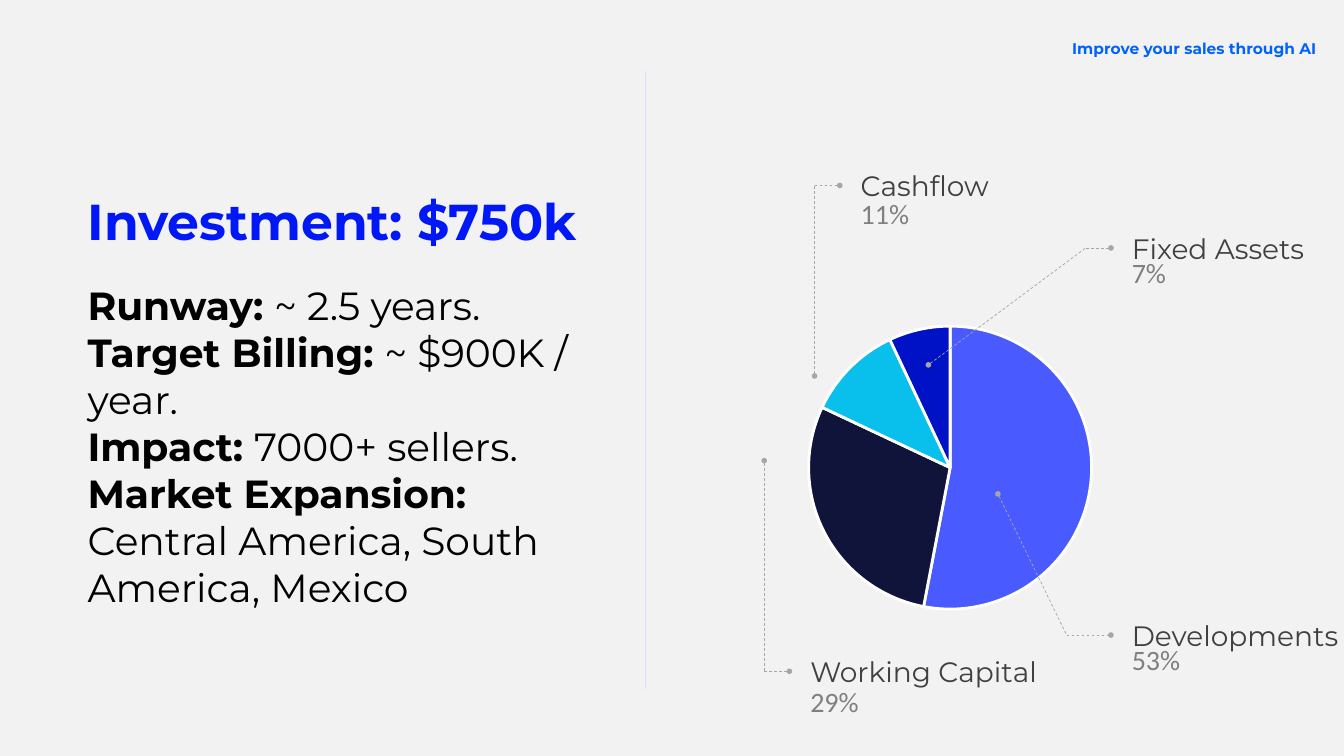
from dataclasses import dataclass

from lxml.etree import SubElement
from pptx import Presentation
from pptx.chart.data import CategoryChartData
from pptx.dml.color import RGBColor
from pptx.enum.chart import XL_CHART_TYPE
from pptx.enum.dml import MSO_LINE
from pptx.enum.shapes import MSO_CONNECTOR
from pptx.enum.text import MSO_AUTO_SIZE, PP_ALIGN
from pptx.oxml import parse_xml
from pptx.oxml.ns import nsdecls, qn
from pptx.util import Inches, Pt

COLS, ROWS = 160, 90
CELL = Inches(40 / 3) / COLS


@dataclass(frozen=True)
class Theme:
    back: str = "F2F2F2"
    tag: str = "0061FF"
    title: str = "0017F6"
    body: str = "000000"
    name: str = "404040"
    share: str = "808080"
    lead: str = "A6A6A6"
    rule: str = "DBDEFF"
    edge: str = "FFFFFF"
    slices: tuple = ("495AFF", "11143A", "09C0EC", "0012C5")
    head: str = "Montserrat"
    plain: str = "Calibri"
    tiny: int = 10
    small: int = 11
    label: int = 20
    text: int = 28
    large: int = 36
    thin: float = 0.5
    gap: float = 2


@dataclass(frozen=True)
class Box:
    """An area in grid cells."""
    x: float
    y: float
    w: float
    h: float

    def sub(self, x, y, w, h):
        return Box(self.x + x, self.y + y, w, h)

    def emu(self):
        return [cells(v) for v in (self.x, self.y, self.w, self.h)]


@dataclass(frozen=True)
class Part:
    """One slice with its label place, leader start and leader foot."""
    name: str
    share: int
    x: float
    y: float
    drop: float
    start: tuple
    foot: float = 3
    wide: float = 29.4


THEME = Theme()
PARTS = (
    Part("Developments", 53, 49.56, 54.24, 3.72, (34.8, 40.8), foot=5.28),
    Part("Working Capital", 29, 11.28, 58.56, 4.32, (6.98, 36.84), wide=38.3),
    Part("Cashflow", 11, 17.28, 0.72, 4.08, (12.98, 26.76)),
    Part("Fixed Assets", 7, 49.56, 8.16, 3.72, (26.52, 25.44)),
)
FACTS = (
    ("Runway: ", "~ 2.5 years."),
    ("Target Billing: ", "~ $900K / year."),
    ("Impact: ", "7000+ sellers."),
    ("Market Expansion: ", "Central America, South America, Mexico"),
)


def cells(n):
    return round(n * CELL)


def rgb(code):
    return RGBColor.from_string(code)


def style(para, size, color, face=THEME.head, bold=None):
    font = para.font
    font.name, font.size, font.bold = face, Pt(size), bold
    font.color.rgb = rgb(color)


def frame(slide, box, wrap=True):
    tf = slide.shapes.add_textbox(*box.emu()).text_frame
    tf.word_wrap = wrap
    tf.auto_size = MSO_AUTO_SIZE.SHAPE_TO_FIT_TEXT
    return tf


def write(slide, box, text, size, color, face=THEME.head, bold=None,
          space=None, align=None, wrap=True):
    para = frame(slide, box, wrap).paragraphs[0]
    para.text, para.line_spacing, para.alignment = text, space, align
    style(para, size, color, face, bold)


def draw(slide, start, end, color, dot=None):
    """Thin line; a dot (headEnd or tailEnd) makes it a dashed leader."""
    line = slide.shapes.add_connector(
        MSO_CONNECTOR.STRAIGHT, *[cells(v) for v in (*start, *end)])
    line.line.color.rgb = rgb(color)
    line.line.width = Pt(THEME.thin)
    if dot:
        line.line.dash_style = MSO_LINE.DASH
        SubElement(line.line._get_or_add_ln(), qn(f"a:{dot}"),
                   type="oval", w="sm", len="sm")
    SubElement(line._element.spPr, qn("a:effectLst"))


def pitch(slide, box):
    write(slide, box.sub(0, 0, 61.56, 8.52), "Investment: $750k",
          THEME.large, THEME.title, bold=True, wrap=False)
    tf = frame(slide, box.sub(0, 10.8, 63.48, 40.8))
    for i, (key, fact) in enumerate(FACTS):
        para = tf.add_paragraph() if i else tf.paragraphs[0]
        style(para, THEME.text, THEME.body)
        for text, bold in ((key, True), (fact, False)):
            run = para.add_run()
            run.text, run.font.bold = text, bold


def pie(slide, box):
    data = CategoryChartData()
    data.categories = [str(i + 1) for i in range(len(PARTS))]
    data.add_series("Series 1", [part.share for part in PARTS])
    chart = slide.shapes.add_chart(XL_CHART_TYPE.PIE, *box.emu(), data).chart
    chart.has_legend = chart.has_title = False
    chart.font.name, chart.font.size = THEME.plain, Pt(THEME.tiny)
    chart.font.color.rgb = rgb(THEME.body)
    plot = chart.plots[0]
    plot.vary_by_categories = True
    for i, color in enumerate(THEME.slices):
        form = plot.series[0].points[i].format
        form.fill.solid()
        form.fill.fore_color.rgb = rgb(color)
        form.line.color.rgb = rgb(THEME.edge)
        form.line.width = Pt(THEME.gap)
    area = chart._chartSpace.chart.plotArea
    for old in area.findall(qn("c:layout")):
        area.remove(old)
    spots = "".join(f'<c:{tag} val="{val}"/>' for tag, val in (
        ("layoutTarget", "inner"), ("xMode", "edge"), ("yMode", "edge"),
        ("x", 0.03), ("y", 0.05), ("w", 0.93), ("h", 0.9)))
    area.insert(0, parse_xml(f'<c:layout {nsdecls("c")}><c:manualLayout>'
                             f'{spots}</c:manualLayout></c:layout>'))


def callout(slide, box, part):
    spot = box.sub(part.x, part.y, part.wide, 5.64)
    write(slide, box.sub(part.x, part.y + part.drop, part.wide, 6),
          f"{part.share}%", THEME.label, THEME.share, THEME.plain)
    write(slide, spot, part.name, THEME.label, THEME.name, space=1.2)
    start = box.x + part.start[0], box.y + part.start[1]
    end = spot.x - 1.3, spot.y + 3.36
    bend = end[0] - part.foot, end[1]
    draw(slide, start, bend, THEME.lead, "headEnd")
    draw(slide, bend, end, THEME.lead, "tailEnd")


def funds(slide, box):
    pie(slide, box.sub(1.32, 18.96, 56.16, 37.44))
    for part in PARTS:
        callout(slide, box, part)


def main():
    deck = Presentation()
    deck.slide_width, deck.slide_height = cells(COLS), cells(ROWS)
    slide = deck.slides.add_slide(deck.slide_layouts[6])
    slide.background.fill.solid()
    slide.background.fill.fore_color.rgb = rgb(THEME.back)
    write(slide, Box(113.64, 3.6, 44.28, 3.6), "Improve your sales through AI",
          THEME.small, THEME.tag, bold=True, space=1.2, align=PP_ALIGN.RIGHT)
    funds(slide, Box(84, 18, 76, 72))
    pitch(slide, Box(9.24, 22.08, 64, 52))
    draw(slide, (76.8, 8.4), (76.8, 82.08), THEME.rule)
    deck.save("out.pptx")


if __name__ == "__main__":
    main()
